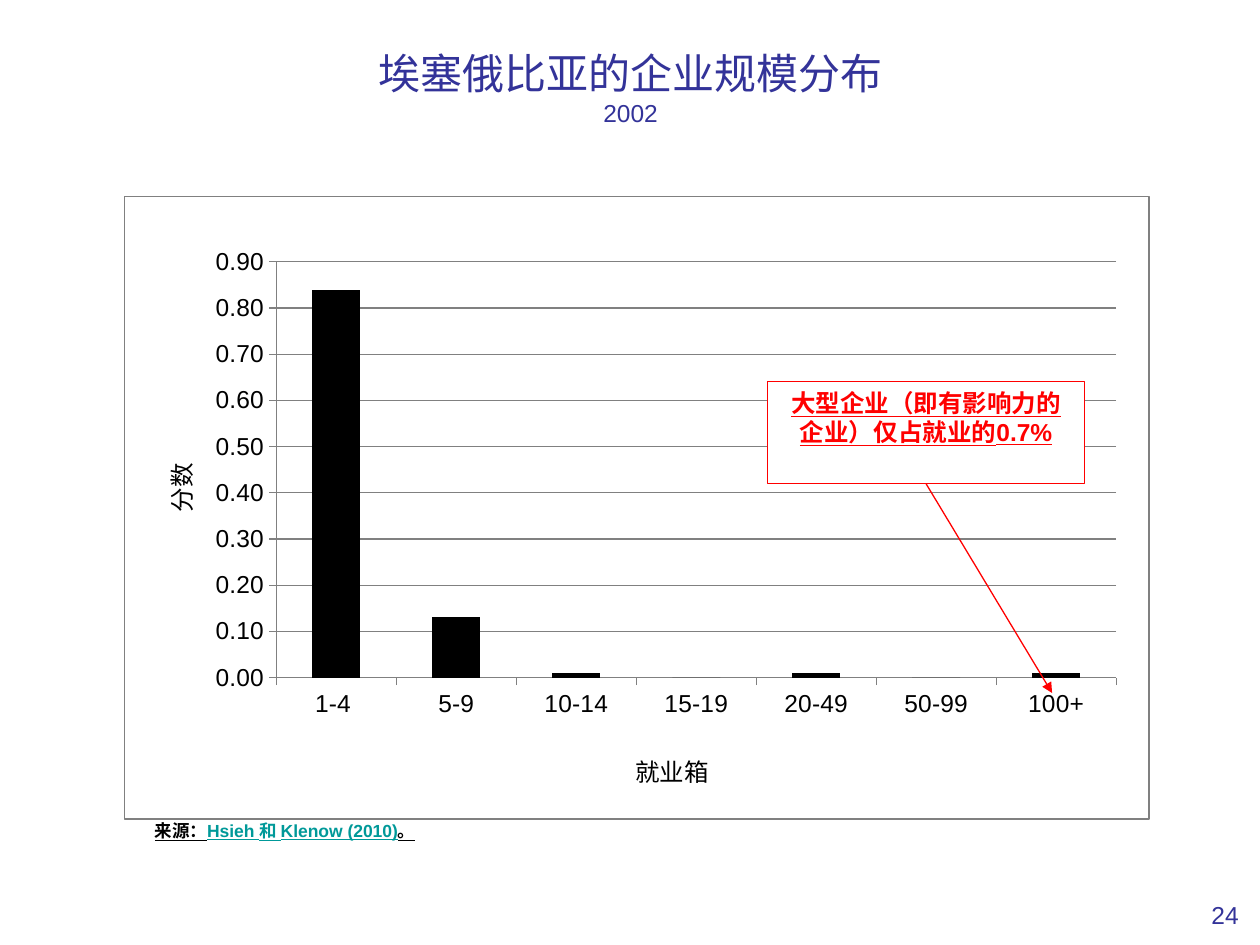
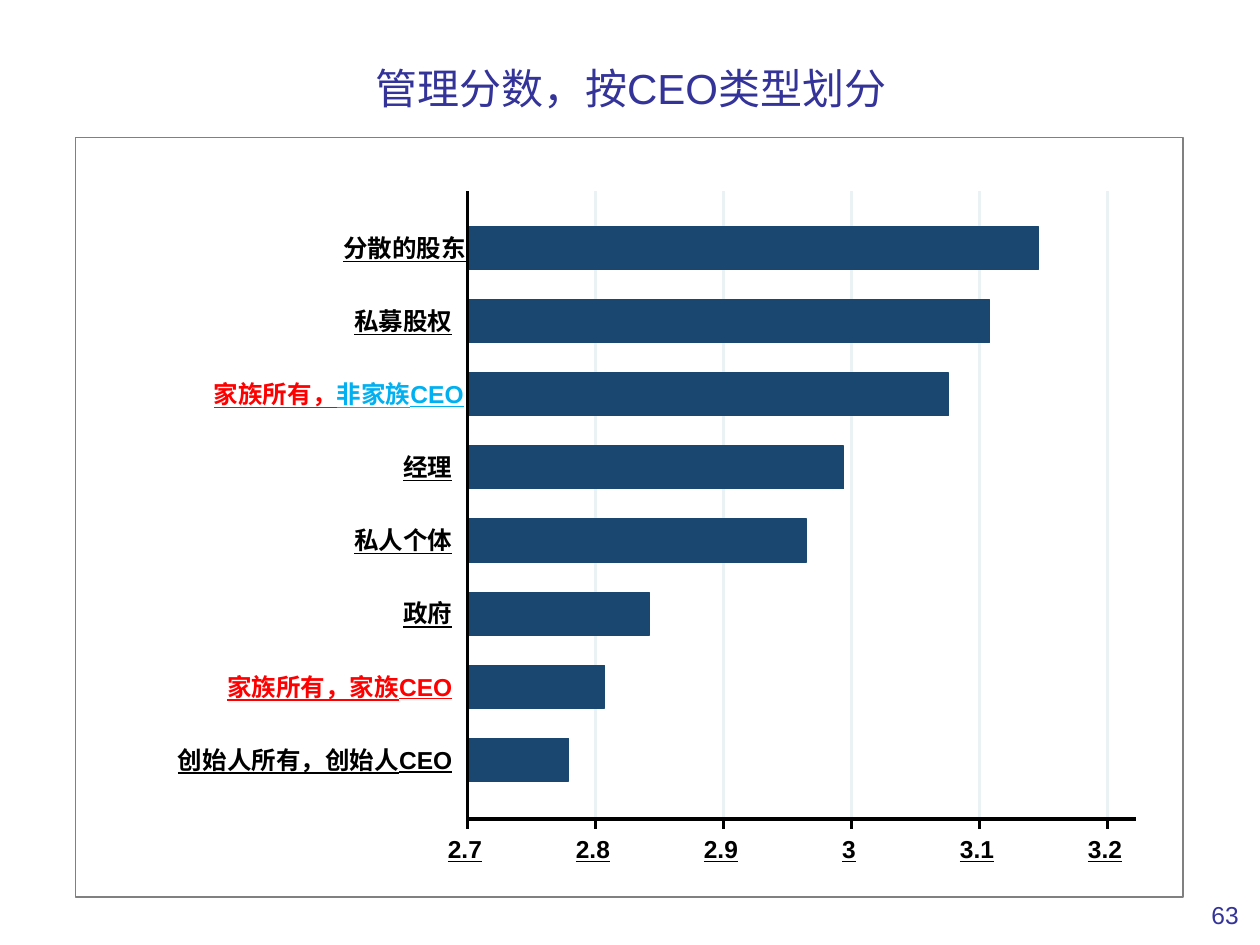
import pptx
import pptx.util
import pptx.chart.data
import pptx.dml.color
import pptx.enum.chart
import pptx.enum.shapes
import pptx.enum.text
import pptx.oxml
import lxml.etree

RGB = pptx.dml.color.RGBColor
NAVY = RGB(0x33, 0x33, 0x99)
BLACK = RGB(0, 0, 0)
WHITE = RGB(255, 255, 255)
GREY = RGB(0x80, 0x80, 0x80)
RED = RGB(255, 0, 0)
TEAL = RGB(0, 0x99, 0x99)
SKY = RGB(0, 0xB0, 0xF0)
BLUE = RGB(0x1A, 0x47, 0x6F)
PALE = RGB(0xEA, 0xF2, 0xF3)
FONT = "Arial"

FIRMS = {
    "title": "埃塞俄比亚的企业规模分布\v2002", "page": "24",
    "bins": [("1-4 ", 0.84), ("5-9", 0.13), ("10-14", 0.01), ("15-19", 0),
             ("20-49", 0.01), ("50-99", 0), ("100+", 0.01)],
    "x": "就业箱", "y": "分数",
    "note": "大型企业（即有影响力的企业）仅占就业的0.7%",
    "cite": [("来源：", BLACK), ("Hsieh 和 Klenow (2010)", TEAL), ("。", BLACK)],
}
BOSS = {
    "title": "管理分数，按CEO类型划分", "page": "63",
    "rows": [
        ([("分散的股东", BLACK)], 3.146, 3.7),
        ([("私募股权", BLACK)], 3.108, 3.59),
        ([("家族所有，", RED), ("非家族CEO", SKY)], 3.076, 3.68),
        ([("经理", BLACK)], 2.994, 3.59),
        ([("私人个体", BLACK)], 2.965, 3.59),
        ([("政府", BLACK)], 2.842, 3.59),
        ([("家族所有，家族CEO", RED)], 2.807, 3.59),
        ([("创始人所有，创始人CEO", BLACK)], 2.779, 3.59),
    ],
    "ticks": [2.7, 2.8, 2.9, 3, 3.1, 3.2],
}
PLOT = (3.71, 1.52, 5.31, 4.98)
UNIT = 10.16
BAR, STEP, PAD = 0.34, 0.58, 0.28

Inch = pptx.util.Inches
Pt = pptx.util.Pt
ALIGN = pptx.enum.text.PP_ALIGN
ANCHOR = pptx.enum.text.MSO_ANCHOR
RECT = pptx.enum.shapes.MSO_SHAPE.RECTANGLE
LINE = pptx.enum.shapes.MSO_CONNECTOR.STRAIGHT


def style(font, size, color, bold=False):
    font.name = FONT
    font.size = Pt(size)
    font.color.rgb = color
    font.bold = bold
    font.underline = bold


def fill_text(frame, parts, size, align, bold=False):
    frame.word_wrap = True
    para = frame.paragraphs[0]
    para.alignment = align
    for words, color in parts:
        run = para.add_run()
        run.text = words
        style(run.font, size, color, bold)


def write(slide, box, parts, size, align=ALIGN.LEFT, bold=False, inset=None):
    frame = slide.shapes.add_textbox(*map(Inch, box)).text_frame
    fill_text(frame, parts, size, align, bold)
    if inset is not None:
        frame.margin_left = frame.margin_right = inset
        frame.margin_top = frame.margin_bottom = inset
    return frame


def rect(slide, box, fill, line, width):
    shape = slide.shapes.add_shape(RECT, *map(Inch, box))
    shape.shadow.inherit = False
    if fill is None:
        shape.fill.background()
    else:
        shape.fill.solid()
        shape.fill.fore_color.rgb = fill
    shape.line.color.rgb = line
    shape.line.width = Pt(width)
    return shape


def rule(slide, x1, y1, x2, y2, color, width=0):
    line = slide.shapes.add_connector(LINE, *map(Inch, (x1, y1, x2, y2)))
    line.line.color.rgb = color
    line.line.width = Pt(width)
    lxml.etree.SubElement(line._element.spPr, pptx.oxml.ns.qn("a:effectLst"))
    return line


def start(deck, data):
    slide = deck.slides.add_slide(deck.slide_layouts[6])
    frame = write(slide, (0.39, 0.3, 9.23, 0.79), [], 24)
    frame.vertical_anchor = ANCHOR.MIDDLE
    para = frame.paragraphs[0]
    para.text = data["title"]
    para.alignment = ALIGN.CENTER
    for run, size in zip(para.runs, (24, 14)):
        style(run.font, size, NAVY)
    frame = write(slide, (9.39, 6.86, 0.54, 0.52), [(data["page"], NAVY)], 14, ALIGN.RIGHT)
    frame.vertical_anchor = ANCHOR.BOTTOM
    frame.margin_bottom = 0
    return slide


def place(parent, spot, inner=False):
    old = parent.find(pptx.oxml.ns.qn("c:layout"))
    if old is not None:
        parent.remove(old)
    items = [("layoutTarget", "inner")] if inner else []
    items += [("xMode", "edge"), ("yMode", "edge")] + list(zip("xywh", spot))
    body = "".join(f'<c:{tag} val="{val}"/>' for tag, val in items)
    node = pptx.oxml.parse_xml(
        f'<c:layout {pptx.oxml.ns.nsdecls("c")}><c:manualLayout>{body}'
        "</c:manualLayout></c:layout>")
    if inner:
        parent.insert(0, node)
    else:
        parent.find(pptx.oxml.ns.qn("c:tx")).addnext(node)


def draw_firms(deck):
    slide = start(deck, FIRMS)
    data = pptx.chart.data.CategoryChartData()
    data.categories = [name for name, _ in FIRMS["bins"]]
    data.add_series("Series 1", [val for _, val in FIRMS["bins"]])
    kind = pptx.enum.chart.XL_CHART_TYPE.COLUMN_CLUSTERED
    chart = slide.shapes.add_chart(kind, *map(Inch, (0.99, 1.9, 8.03, 4.46)), data).chart
    chart.has_legend = chart.has_title = False
    style(chart.font, 14, BLACK)
    plot = chart.plots[0]
    plot.gap_width = 150
    plot.vary_by_categories = False
    bars = plot.series[0].format.fill
    bars.solid()
    bars.fore_color.rgb = BLACK
    vert, base = chart.value_axis, chart.category_axis
    vert.minimum_scale, vert.maximum_scale, vert.major_unit = 0, 0.9, 0.1
    vert.tick_labels.number_format = "0.00"
    vert.tick_labels.number_format_is_linked = False
    vert.has_major_gridlines = True
    vert.major_gridlines.format.line.color.rgb = GREY
    for axis, name, spot in ((base, FIRMS["x"], (0.5, 0.9)), (vert, FIRMS["y"], (0.03, 0.39))):
        axis.major_tick_mark = pptx.enum.chart.XL_TICK_MARK.OUTSIDE
        axis.format.line.color.rgb = GREY
        frame = axis.axis_title.text_frame
        frame.text = name
        style(frame.paragraphs[0].runs[0].font, 14, BLACK)
        place(axis.axis_title._element, spot)
    area = chart._chartSpace.chart.plotArea
    place(area, (0.15, 0.04, 0.83, 0.74), True)

    rect(slide, (0.99, 1.56, 8.13, 4.94), None, GREY, 0.75)
    note = rect(slide, (6.09, 3.03, 2.52, 0.81), WHITE, RED, 0.75)
    note.text_frame.vertical_anchor = ANCHOR.TOP
    fill_text(note.text_frame, [(FIRMS["note"], RED)], 14, ALIGN.CENTER, True)
    arrow = rule(slide, 7.35, 3.84, 8.35, 5.5, RED, 0.75)
    arrow.begin_connect(note, 2)
    tail = lxml.etree.SubElement(arrow.line._get_or_add_ln(), pptx.oxml.ns.qn("a:tailEnd"))
    tail.set("type", "triangle")
    write(slide, (1.13, 6.46, 2.51, 0.27), FIRMS["cite"], 10, bold=True)


def draw_boss(deck):
    slide = start(deck, BOSS)
    left, top, wide, high = PLOT
    foot = top + high
    ticks = BOSS["ticks"]
    spots = [left + (val - ticks[0]) * UNIT for val in ticks]
    rect(slide, PLOT, WHITE, WHITE, 0)
    for x in spots[1:]:
        rule(slide, x, foot, x, top, PALE)
    for i, (parts, val, edge) in enumerate(BOSS["rows"]):
        y = top + PAD + i * STEP
        rect(slide, (left, y, (val - ticks[0]) * UNIT, BAR), BLUE, BLUE, 0)
        write(slide, (0.98, y + 0.05, edge - 0.98, 0.24), parts, 14, ALIGN.RIGHT, True, 0)
    rule(slide, left, foot, left + wide, foot, BLACK)
    rule(slide, left, foot, left, top, BLACK)
    for x, val in zip(spots, ticks):
        rule(slide, x, foot, x, foot + 0.08, BLACK)
        write(slide, (x - 0.22, foot + 0.12, 0.4, 0.24), [(str(val), BLACK)],
              14, ALIGN.CENTER, True, 0)
    rect(slide, (0.6, 1.09, 8.79, 6.03), None, GREY, 0.75)


def main():
    deck = pptx.Presentation()
    deck.slide_width, deck.slide_height = Inch(10), Inch(7.5)
    draw_firms(deck)
    draw_boss(deck)
    deck.save("out.pptx")


if __name__ == "__main__":
    main()
